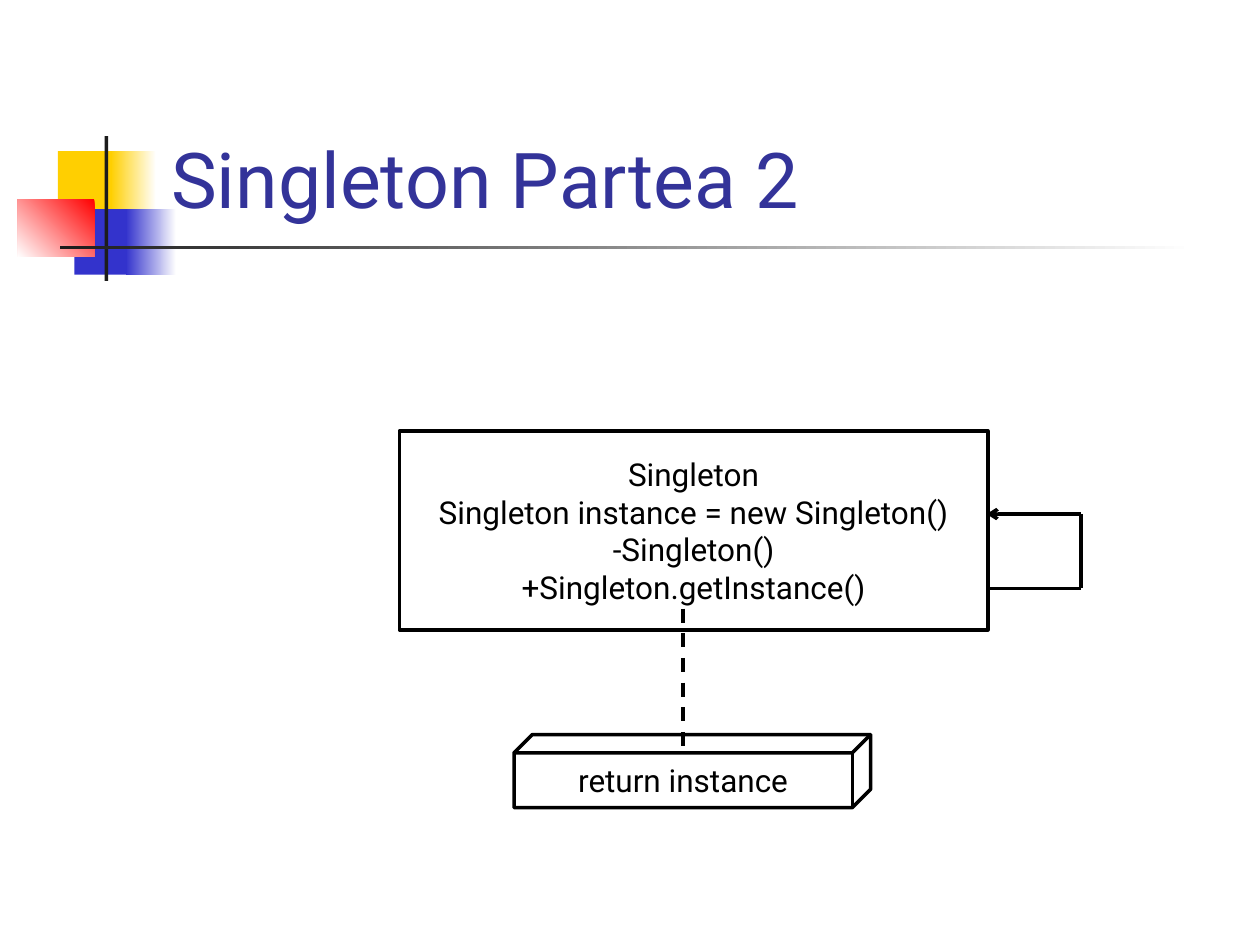
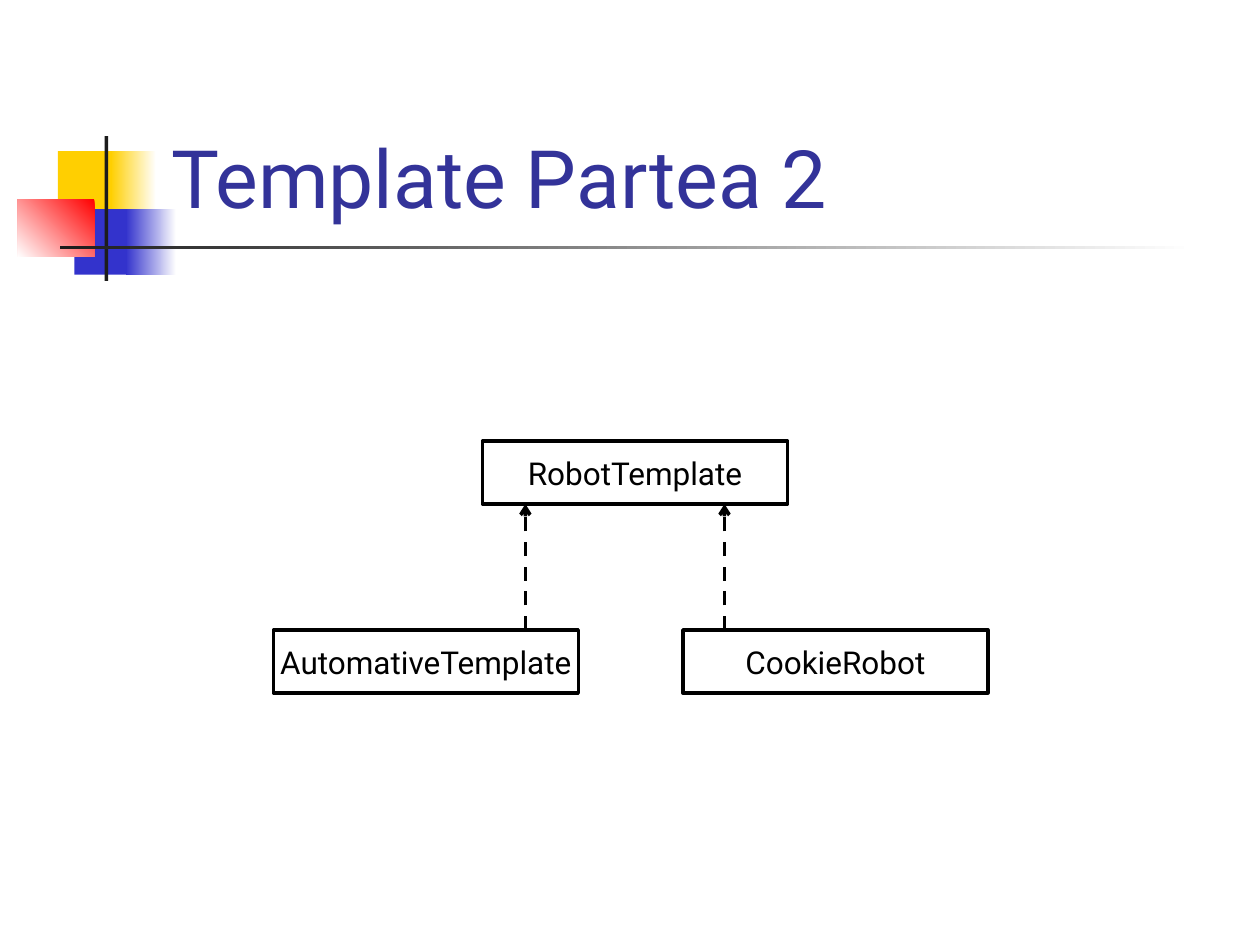
from lxml.etree import SubElement
from pptx import Presentation
from pptx.dml.color import RGBColor as RGB
from pptx.enum.dml import MSO_LINE_DASH_STYLE as DASH
from pptx.enum.shapes import MSO_CONNECTOR as CONNECTOR, MSO_SHAPE as SHAPE
from pptx.enum.text import MSO_ANCHOR as ANCHOR, MSO_AUTO_SIZE as AUTO_SIZE, PP_ALIGN as ALIGN
from pptx.oxml.ns import qn
from pptx.util import Inches, Pt

COLORS = {
    "title": "333399",
    "ink": "000000",
    "bar": "1C1C1C",
    "yellow": "FFCF01",
    "blue": "3333CC",
    "red": "FF0000",
    "white": "FFFFFF",
}
FONT = "Roboto"
LINE_WIDTH = Pt(2)


def write(shape, text, size=18, color="ink", align=ALIGN.CENTER, anchor=ANCHOR.MIDDLE, wrap=False):
    frame = shape.text_frame
    frame.text = text
    frame.auto_size = AUTO_SIZE.NONE
    frame.word_wrap = wrap
    frame.vertical_anchor = anchor
    for paragraph in frame.paragraphs:
        paragraph.alignment = align
        paragraph.font.name = FONT
        paragraph.font.size = Pt(size)
        paragraph.font.color.rgb = RGB.from_string(COLORS[color])


def connect(slide, start, end, dashed=False, arrow=False):
    link = slide.shapes.add_connector(CONNECTOR.STRAIGHT, *map(Inches, start + end))
    link.line.color.rgb = RGB.from_string(COLORS["ink"])
    link.line.width = LINE_WIDTH
    if dashed:
        link.line.dash_style = DASH.DASH
    if arrow:
        SubElement(link.get_or_add_ln(), qn("a:tailEnd"), type="arrow")
    SubElement(link.element.spPr, qn("a:effectLst"))


deck = Presentation()
deck.slide_width, deck.slide_height = Inches(10), Inches(7.5)
layout = deck.slide_layouts.get_by_name("Title Only")
for placeholder in list(layout.placeholders)[1:]:
    placeholder.element.getparent().remove(placeholder.element)

# Titles
slides = []
for title_text, title_size in [("Singleton Partea 2", 44), ("Template Partea 2", 46)]:
    slide = deck.slides.add_slide(layout)
    title = slide.shapes.title
    title.left, title.top = Inches(1.26), Inches(0.23)
    title.width, title.height = Inches(8.52), Inches(1.6)
    write(title, title_text, size=title_size, color="title",
          align=ALIGN.LEFT, anchor=ANCHOR.BOTTOM, wrap=True)
    slides.append(slide)
singleton, template = slides

# Shared ornament, moved to the layout: box, colours from start to end, angle
ornament = [
    ((0.46, 1.2, 0.48, 0.52), ["yellow"], 0),
    ((0.88, 1.2, 0.36, 0.52), ["white", "yellow"], 180),
    ((0.59, 1.66, 0.46, 0.52), ["blue"], 0),
    ((1, 1.66, 0.4, 0.52), ["white", "blue"], 180),
    ((0.14, 1.58, 0.61, 0.46), ["red", "white"], 225),
    ((0.83, 1.08, 0.03, 1.15), ["bar"], 0),
    ((0.48, 1.95, 9, 0.03), ["white", "bar"], 180),
]
for box, shades, angle in ornament:
    block = singleton.shapes.add_shape(SHAPE.RECTANGLE, *map(Inches, box))
    block.shadow.inherit = False
    block.line.fill.background()
    if len(shades) == 1:
        block.fill.solid()
        block.fill.fore_color.rgb = RGB.from_string(COLORS[shades[0]])
    else:
        block.fill.gradient()
        block.fill.gradient_angle = angle
        for stop, shade in zip(block.fill.gradient_stops, shades):
            stop.color.rgb = RGB.from_string(COLORS[shade])
    layout.shapes.element.append(block.element)

# Outlined boxes of both diagrams
singleton_members = "\n".join([
    "Singleton",
    "Singleton instance = new Singleton()",
    "-Singleton()",
    "+Singleton.getInstance()",
])
class_size = (2.42, 0.5)
diagram_boxes = [
    (singleton, SHAPE.RECTANGLE, (3.17, 3.42, 4.67, 1.58), singleton_members),
    (singleton, SHAPE.CUBE, (4.08, 5.83, 2.83, 0.58), "return instance"),
    (template, SHAPE.RECTANGLE, (3.83, 3.5) + class_size, "RobotTemplate"),
    (template, SHAPE.RECTANGLE, (2.17, 5) + class_size, "AutomativeTemplate"),
    (template, SHAPE.RECTANGLE, (5.42, 5) + class_size, "CookieRobot"),
]
for slide, outline, box, label in diagram_boxes:
    node = slide.shapes.add_shape(outline, *map(Inches, box))
    node.shadow.inherit = False
    node.fill.background()
    node.line.color.rgb = RGB.from_string(COLORS["ink"])
    node.line.width = LINE_WIDTH
    write(node, label)

# Singleton: link to the returned instance, then the loop back to itself
connect(singleton, (5.42, 4.83), (5.42, 5.92), dashed=True)
loop_left, loop_right, loop_top, loop_bottom = 7.83, 8.58, 4.08, 4.67
connect(singleton, (loop_right, loop_top), (loop_left, loop_top), arrow=True)
connect(singleton, (loop_left, loop_bottom), (loop_right, loop_bottom))
connect(singleton, (loop_right, loop_top), (loop_right, loop_bottom))

# Template: both subclasses point up to the base class
for subclass_x in (4.17, 5.75):
    connect(template, (subclass_x, 5), (subclass_x, 4), dashed=True, arrow=True)

deck.save("out.pptx")
